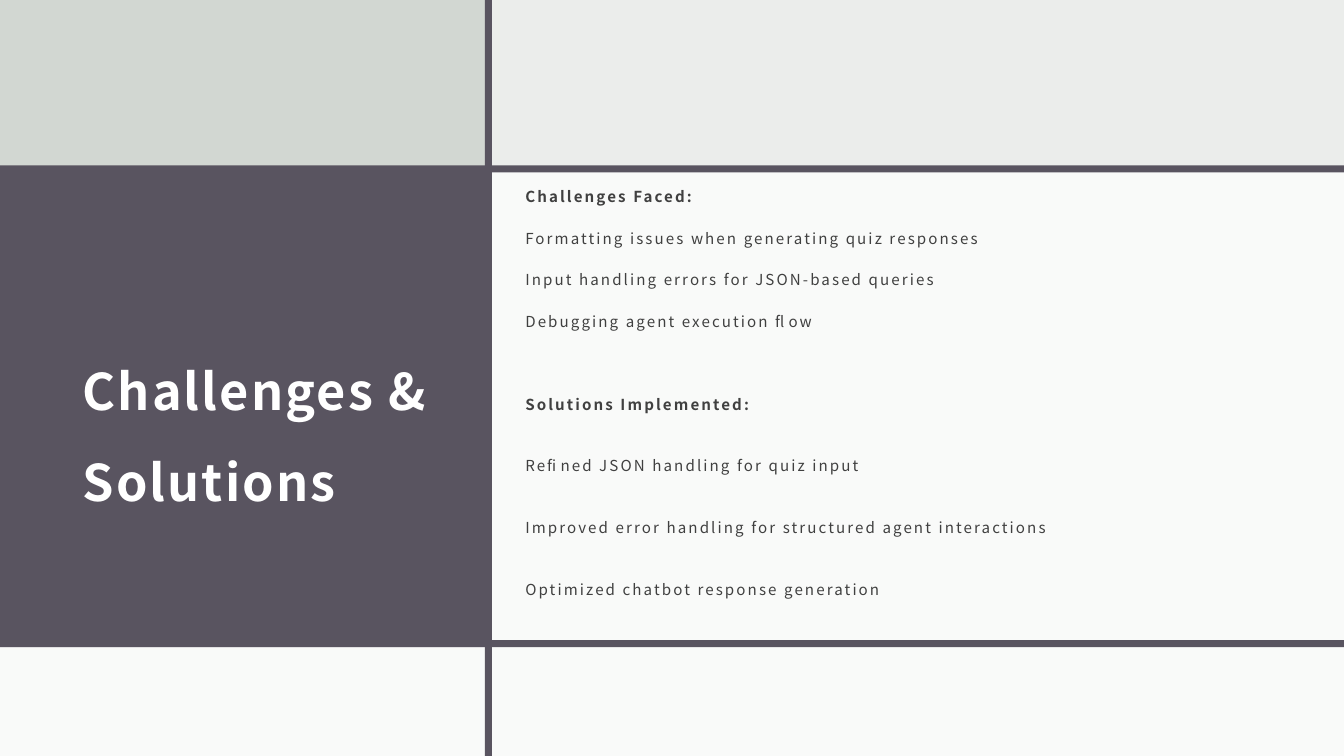
from lxml.etree import SubElement
from pptx import Presentation
from pptx.dml.color import RGBColor
from pptx.enum.shapes import MSO_SHAPE as Shape
from pptx.enum.text import MSO_ANCHOR as Anchor
from pptx.oxml.ns import qn
from pptx.util import Inches, Pt

WHITE = RGBColor(0xFF, 0xFF, 0xFF)
PLUM = RGBColor(0x59, 0x54, 0x60)
MIST = RGBColor(0xEB, 0xED, 0xEB)
SAGE = RGBColor(0xD2, 0xD7, 0xD2)
CHARCOAL = RGBColor(0x40, 0x40, 0x40)
FONT = "Noto Sans CJK JP"

TITLE = "Challenges & Solutions"
SECTIONS = [
    ("Challenges Faced:", 0, [
        "Formatting issues when generating quiz responses",
        "Input handling errors for JSON-based queries",
        "Debugging agent execution flow",
    ]),
    ("Solutions Implemented:", 14.5, [
        "Refined JSON handling for quiz input",
        "Improved error handling for structured agent interactions",
        "Optimized chatbot response generation",
    ]),
]

WIDTH, HEIGHT = 13.33, 7.5
COLUMN, TOP_ROW, BOTTOM_ROW = 4.84, 1.66, 6.42
RULE = 0.07
LINE, BEFORE, AFTER = 14.5, 9.1, 6
SECTION_GAP = LINE + BEFORE + AFTER

PANELS = [
    (0, TOP_ROW, COLUMN, BOTTOM_ROW - TOP_ROW, PLUM, 100),
    (0, 0, COLUMN, TOP_ROW, SAGE, 100),
    (COLUMN, TOP_ROW, WIDTH - COLUMN, BOTTOM_ROW - TOP_ROW, WHITE, 75),
    (0, BOTTOM_ROW, WIDTH, HEIGHT - BOTTOM_ROW, WHITE, 75),
    (0, TOP_ROW - 0.02, WIDTH, RULE, PLUM, 100),
    (0, BOTTOM_ROW - RULE, WIDTH, RULE, PLUM, 100),
    (COLUMN - 0.03, 0, RULE, HEIGHT, PLUM, 100),
]


def add_panel(slide, left, top, width, height, color, opacity):
    panel = slide.shapes.add_shape(
        Shape.RECTANGLE, Inches(left), Inches(top), Inches(width), Inches(height))
    panel.shadow.inherit = False
    panel.line.fill.background()
    panel.fill.solid()
    panel.fill.fore_color.rgb = color
    if opacity < 100:
        tint = panel.fill._xPr.find(qn("a:solidFill"))[0]
        SubElement(tint, qn("a:alpha")).set("val", str(opacity * 1000))


def add_text_frame(slide, left, top, width, height, anchor, top_inset):
    box = slide.shapes.add_textbox(
        Inches(left), Inches(top), Inches(width), Inches(height))
    frame = box.text_frame
    frame.word_wrap = True
    frame.vertical_anchor = anchor
    frame.margin_left = frame.margin_right = Inches(0.12)
    frame.margin_top, frame.margin_bottom = Inches(top_inset), Inches(0.1)
    return frame


def write(paragraph, text, size, color, bold, line, before=0, after=0):
    run = paragraph.add_run()
    run.text = text
    run._r.get_or_add_rPr().set("spc", "150")
    paragraph.line_spacing = Pt(line)
    paragraph.space_before, paragraph.space_after = Pt(before), Pt(after)
    font = paragraph.font
    font.name, font.size, font.bold = FONT, Pt(size), bold
    font.color.rgb = color


def main():
    presentation = Presentation()
    presentation.slide_width, presentation.slide_height = Inches(WIDTH), Inches(HEIGHT)
    slide = presentation.slides.add_slide(presentation.slide_layouts[6])
    slide.background.fill.solid()
    slide.background.fill.fore_color.rgb = MIST
    for panel in PANELS:
        add_panel(slide, *panel)

    title = add_text_frame(slide, 0.7, 2.17, 3.73, 3.98, Anchor.MIDDLE, 0.12)
    write(title.paragraphs[0], TITLE, 36, WHITE, True, 65)

    body = add_text_frame(slide, 5.09, 1.77, 7.54, 4.47, Anchor.TOP, 0.07)
    for index, (heading, item_gap, items) in enumerate(SECTIONS):
        paragraph = body.add_paragraph() if index else body.paragraphs[0]
        before = BEFORE + SECTION_GAP if index else 0
        write(paragraph, heading, 10.8, CHARCOAL, True, LINE, before, AFTER)
        for item in items:
            write(body.add_paragraph(), item, 10.8, CHARCOAL, False,
                  LINE, BEFORE + item_gap, AFTER)
    presentation.save("out.pptx")


if __name__ == "__main__":
    main()
